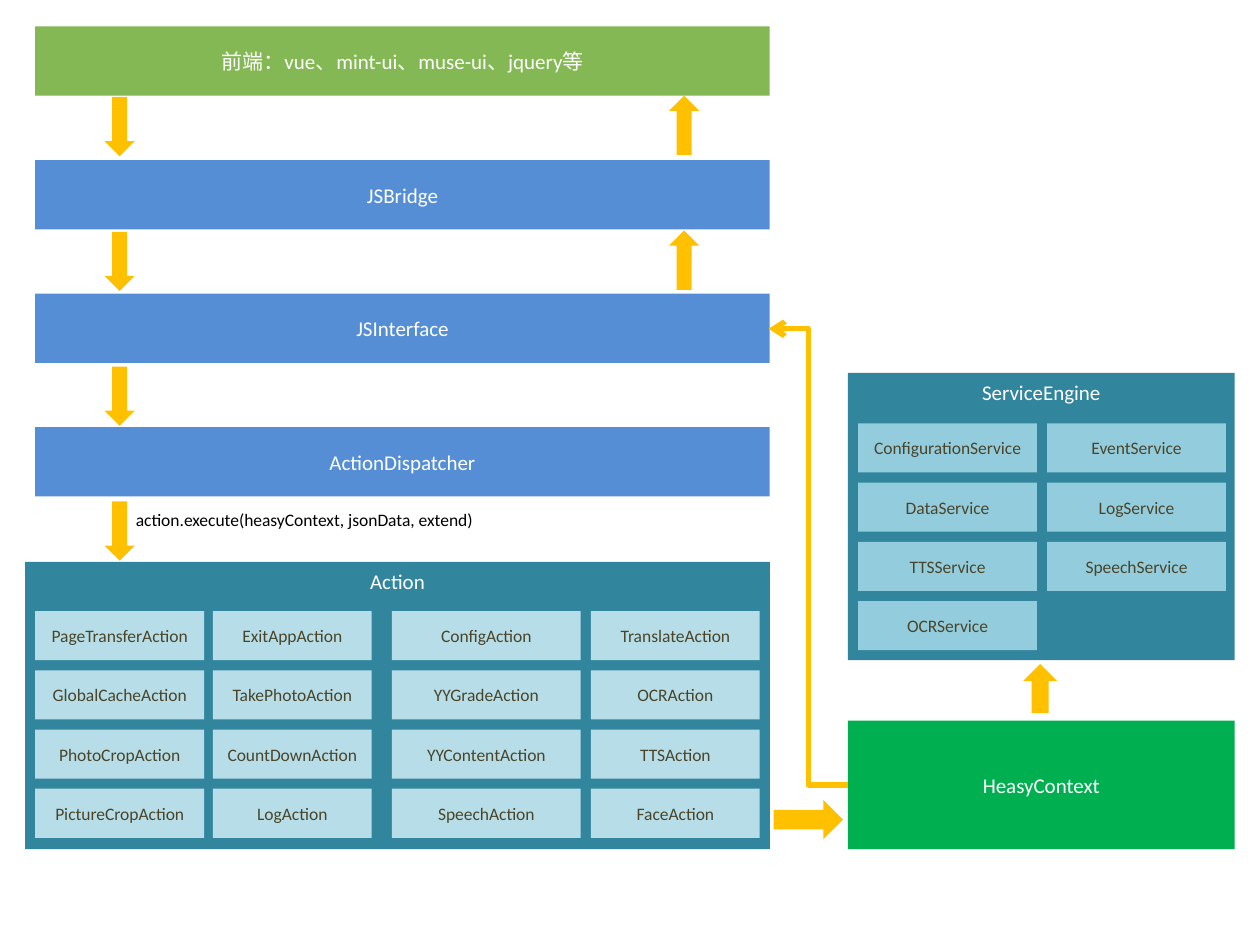
from dataclasses import dataclass

from lxml.etree import SubElement
from pptx import Presentation
from pptx.dml.color import RGBColor
from pptx.enum.shapes import MSO_CONNECTOR as Connector, MSO_SHAPE as Preset
from pptx.enum.text import MSO_ANCHOR as Anchor, PP_ALIGN as Align
from pptx.oxml.ns import qn
from pptx.shapes.autoshape import Shape
from pptx.util import Inches, Pt

WHITE = RGBColor(0xFF, 0xFF, 0xFF)
BLACK = RGBColor(0x00, 0x00, 0x00)
BROWN = RGBColor(0x4A, 0x45, 0x2A)
LIME = RGBColor(0x84, 0xB8, 0x54)
BLUE = RGBColor(0x55, 0x8E, 0xD5)
TEAL = RGBColor(0x31, 0x85, 0x9C)
PALE_TEAL = RGBColor(0xB7, 0xDE, 0xE8)
LIGHT_TEAL = RGBColor(0x93, 0xCD, 0xDD)
GREEN = RGBColor(0x00, 0xB0, 0x50)
AMBER = RGBColor(0xFF, 0xC0, 0x00)

FONT = "Calibri"
LAYER_PITCH = 1.06
ARROW_PITCH = 1.07
CELL_PITCH = 0.47
CELL_HEIGHT = 0.39


@dataclass
class Box:
    text: str
    left: float
    top: float
    width: float
    height: float
    fill: RGBColor
    color: RGBColor = WHITE
    size: int = 12
    anchor: Anchor = Anchor.MIDDLE


@dataclass
class Arrow:
    preset: Preset
    left: float
    top: float
    width: float = 0.24
    height: float = 0.47


@dataclass
class Column:
    left: float
    width: float
    names: list[str]


presentation = Presentation()
presentation.slide_width = Inches(10)
presentation.slide_height = Inches(7.5)
slide = presentation.slides.add_slide(presentation.slide_layouts[6])


def add_filled(preset: Preset, left: float, top: float, width: float,
               height: float, fill: RGBColor) -> Shape:
    shape = slide.shapes.add_shape(
        preset, Inches(left), Inches(top), Inches(width), Inches(height))
    shape.shadow.inherit = False
    shape.fill.solid()
    shape.fill.fore_color.rgb = fill
    shape.line.fill.background()
    return shape


def write_text(shape: Shape, text: str, size: int, color: RGBColor,
               align: Align) -> None:
    paragraph = shape.text_frame.paragraphs[0]
    paragraph.text = text
    paragraph.alignment = align
    paragraph.font.name = FONT
    paragraph.font.size = Pt(size)
    paragraph.font.color.rgb = color


def draw_box(box: Box) -> None:
    shape = add_filled(Preset.RECTANGLE, box.left, box.top, box.width,
                       box.height, box.fill)
    shape.text_frame.vertical_anchor = box.anchor
    write_text(shape, box.text, box.size, box.color, Align.CENTER)


def draw_columns(columns: list[Column], top: float, fill: RGBColor) -> None:
    for column in columns:
        for row, name in enumerate(column.names):
            draw_box(Box(name, column.left, top + row * CELL_PITCH,
                         column.width, CELL_HEIGHT, fill, BROWN, 10))


def draw_return_path() -> None:
    connector = slide.shapes.add_connector(
        Connector.ELBOW, Inches(6.73), Inches(6.23), Inches(6.1), Inches(2.61))
    connector.line.color.rgb = AMBER
    connector.line.width = Pt(3)
    SubElement(connector.line._get_or_add_ln(), qn("a:tailEnd"), type="arrow")
    SubElement(connector._element.spPr, qn("a:effectLst"))


LAYERS = [
    ("前端：vue、mint-ui、muse-ui、jquery等", LIME),
    ("JSBridge", BLUE),
    ("JSInterface", BLUE),
    ("ActionDispatcher", BLUE),
]
BLOCKS = [
    Box("Action", 0.2, 4.46, 5.91, 2.28, TEAL, anchor=Anchor.TOP),
    Box("ServiceEngine", 6.73, 2.96, 3.07, 2.28, TEAL, anchor=Anchor.TOP),
    Box("HeasyContext", 6.73, 5.72, 3.07, 1.02, GREEN),
]
ACTIONS = [
    Column(0.28, 1.34, ["PageTransferAction", "GlobalCacheAction",
                        "PhotoCropAction", "PictureCropAction"]),
    Column(1.69, 1.26, ["ExitAppAction", "TakePhotoAction",
                        "CountDownAction", "LogAction"]),
    Column(3.11, 1.5, ["ConfigAction", "YYGradeAction",
                       "YYContentAction", "SpeechAction"]),
    Column(4.69, 1.34, ["TranslateAction", "OCRAction",
                        "TTSAction", "FaceAction"]),
]
SERVICES = [
    Column(6.81, 1.42, ["ConfigurationService", "DataService",
                        "TTSService", "OCRService"]),
    Column(8.31, 1.42, ["EventService", "LogService", "SpeechService"]),
]
ARROWS = [
    *(Arrow(Preset.DOWN_ARROW, 0.83, 0.77 + step * ARROW_PITCH)
      for step in range(4)),
    *(Arrow(Preset.UP_ARROW, 5.31, 0.76 + step * ARROW_PITCH)
      for step in range(2)),
    Arrow(Preset.RIGHT_ARROW, 6.14, 6.35, 0.55, 0.31),
    Arrow(Preset.UP_ARROW, 8.12, 5.27, 0.27, 0.39),
]

for level, (label, fill) in enumerate(LAYERS):
    draw_box(Box(label, 0.28, 0.21 + level * LAYER_PITCH, 5.83, 0.55, fill))
for block in BLOCKS:
    draw_box(block)
draw_columns(ACTIONS, 4.85, PALE_TEAL)
draw_columns(SERVICES, 3.36, LIGHT_TEAL)
for arrow in ARROWS:
    add_filled(arrow.preset, arrow.left, arrow.top, arrow.width,
               arrow.height, AMBER)
draw_return_path()

call_label = slide.shapes.add_textbox(
    Inches(0.98), Inches(3.99), Inches(2.93), Inches(0.27))
call_label.text_frame.word_wrap = False
write_text(call_label, "action.execute(heasyContext, jsonData, extend)", 10,
           BLACK, Align.LEFT)

presentation.save("out.pptx")
